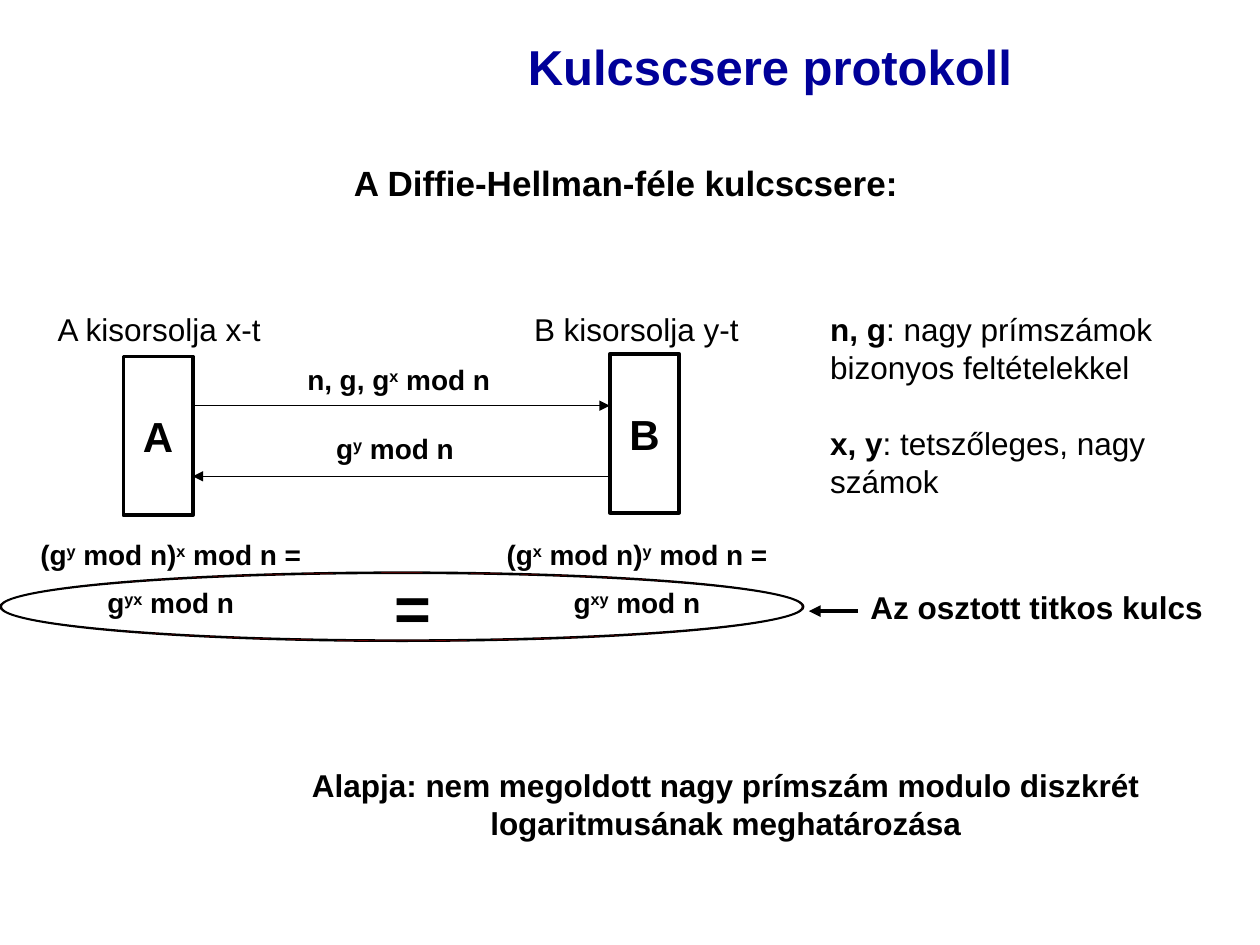
from dataclasses import dataclass
from lxml.etree import SubElement
from pptx import Presentation
from pptx.dml.color import RGBColor
from pptx.enum.shapes import MSO_CONNECTOR, MSO_SHAPE
from pptx.enum.text import MSO_ANCHOR, PP_ALIGN
from pptx.oxml.ns import qn
from pptx.util import Inches, Pt


@dataclass(frozen=True)
class Theme:
    font: str = "Arial"
    ink: str = "000000"
    heading: str = "000099"
    accent: str = "FF0000"
    title: int = 28
    subtitle: int = 20
    party: int = 24
    body: int = 18
    formula: int = 16
    equals: int = 36
    thin: float = 0.75
    thick: float = 2.25


THEME = Theme()
PARTY_WIDTH, PARTY_HEIGHT = 0.55, 1.26
A_LEFT, B_LEFT = 0.98, 4.84
A_RIGHT = A_LEFT + PARTY_WIDTH

TITLE = "*Kulcscsere protokoll*"
SUBTITLE = "*A Diffie-Hellman-féle kulcscsere:*"
PARTIES = [
    ("*A*", A_LEFT, 2.83, "A kisorsolja x-t", 0.36),
    ("*B*", B_LEFT, 2.81, "B kisorsolja y-t", 4.14),
]
MESSAGES = [
    ("*n, g, g^x^ mod n*", (2.34, 2.83, 1.65, 0.37), A_RIGHT, B_LEFT, 3.22),
    ("*g^y^ mod n*", (2.57, 3.38, 1.13, 0.37), B_LEFT, A_RIGHT, 3.78),
]
CONDITIONS = [
    "*n, g*: nagy prímszámok bizonyos feltételekkel",
    "*x, y*: tetszőleges, nagy számok",
]
KEYS = [
    (["*(g^y^ mod n)^x^ mod n =*", "*g^yx^ mod n*"], 0.22),
    (["*(g^x^ mod n)^y^ mod n =*", "*g^xy^ mod n*"], 3.92),
]
SHARED_KEY = "*Az osztott titkos kulcs*"
BASIS = "*Alapja: nem megoldott nagy prímszám modulo diszkrét logaritmusának meghatározása*"

prs = Presentation()
prs.slide_width, prs.slide_height = Inches(10), Inches(7.5)
shapes = prs.slides.add_slide(prs.slide_layouts[6]).shapes


def box(bounds):
    return [Inches(length) for length in bounds]


def write(content, bounds=None, holder=None, size=THEME.body, color=THEME.ink,
          align=PP_ALIGN.LEFT, anchor=MSO_ANCHOR.TOP, wrap=False, gap=0):
    holder = holder or shapes.add_textbox(*box(bounds))
    frame = holder.text_frame
    frame.word_wrap, frame.vertical_anchor = wrap, anchor
    lines = [content] if isinstance(content, str) else content
    for index, line in enumerate(lines):
        paragraph = frame.add_paragraph() if index else frame.paragraphs[0]
        paragraph.alignment = align
        paragraph.space_before = Pt(gap if index else 0)
        for bold_index, weighted in enumerate(line.split("*")):
            for raised, piece in enumerate(weighted.split("^")):
                if not piece:
                    continue
                run = paragraph.add_run()
                run.text = piece
                run.font.name, run.font.size = THEME.font, Pt(size)
                run.font.bold = bold_index % 2 == 1
                run.font.color.rgb = RGBColor.from_string(color)
                if raised % 2:
                    run.font._element.set("baseline", "30000")


def outline(part, width):
    part.line.color.rgb = RGBColor.from_string(THEME.ink)
    part.line.width = Pt(width)


def arrow(start, end, y, width):
    link = shapes.add_connector(MSO_CONNECTOR.STRAIGHT, *box((start, y, end, y)))
    outline(link, width)
    properties = link._element.spPr
    SubElement(properties.find(qn("a:ln")), qn("a:tailEnd"), type="triangle")
    SubElement(properties, qn("a:effectLst"))


write(TITLE, (2.72, 0.21, 6.78, 0.63), size=THEME.title, color=THEME.heading,
      align=PP_ALIGN.CENTER, anchor=MSO_ANCHOR.MIDDLE, wrap=True)
write(SUBTITLE, (2.71, 1.23, 4.6, 0.44), size=THEME.subtitle)

for name, left, top, choice, choice_left in PARTIES:
    party = shapes.add_shape(MSO_SHAPE.RECTANGLE, *box((left, top, PARTY_WIDTH, PARTY_HEIGHT)))
    party.shadow.inherit = False
    party.fill.background()
    outline(party, THEME.thick)
    write(name, holder=party, size=THEME.party, align=PP_ALIGN.CENTER, anchor=MSO_ANCHOR.MIDDLE)
    write(choice, (choice_left, 2.41, 1.9, 0.4))

for message, bounds, start, end, y in MESSAGES:
    arrow(start, end, y, THEME.thin)
    write(message, bounds, size=THEME.formula)

write(CONDITIONS, (6.49, 2.41, 3.07, 1.6), wrap=True, gap=22)
write(BASIS, (1.85, 6.03, 7.82, 0.7), align=PP_ALIGN.CENTER, wrap=True)

for formulas, left in KEYS:
    write(formulas, (left, 4.22, 2.27, 0.75), size=THEME.formula, align=PP_ALIGN.CENTER, gap=8)
write("*=*", (3.03, 4.46, 0.49, 0.7), size=THEME.equals)

ring = shapes.add_shape(MSO_SHAPE.DONUT, *box((0, 4.54, 6.38, 0.55)))
ring.adjustments[0] = 0.02
ring.shadow.inherit = False
ring.fill.solid()
ring.fill.fore_color.rgb = RGBColor.from_string(THEME.accent)
outline(ring, THEME.thin)

write(SHARED_KEY, (6.81, 4.62, 2.9, 0.4))
arrow(6.81, 6.42, 4.85, THEME.thick)

prs.save("out.pptx")
